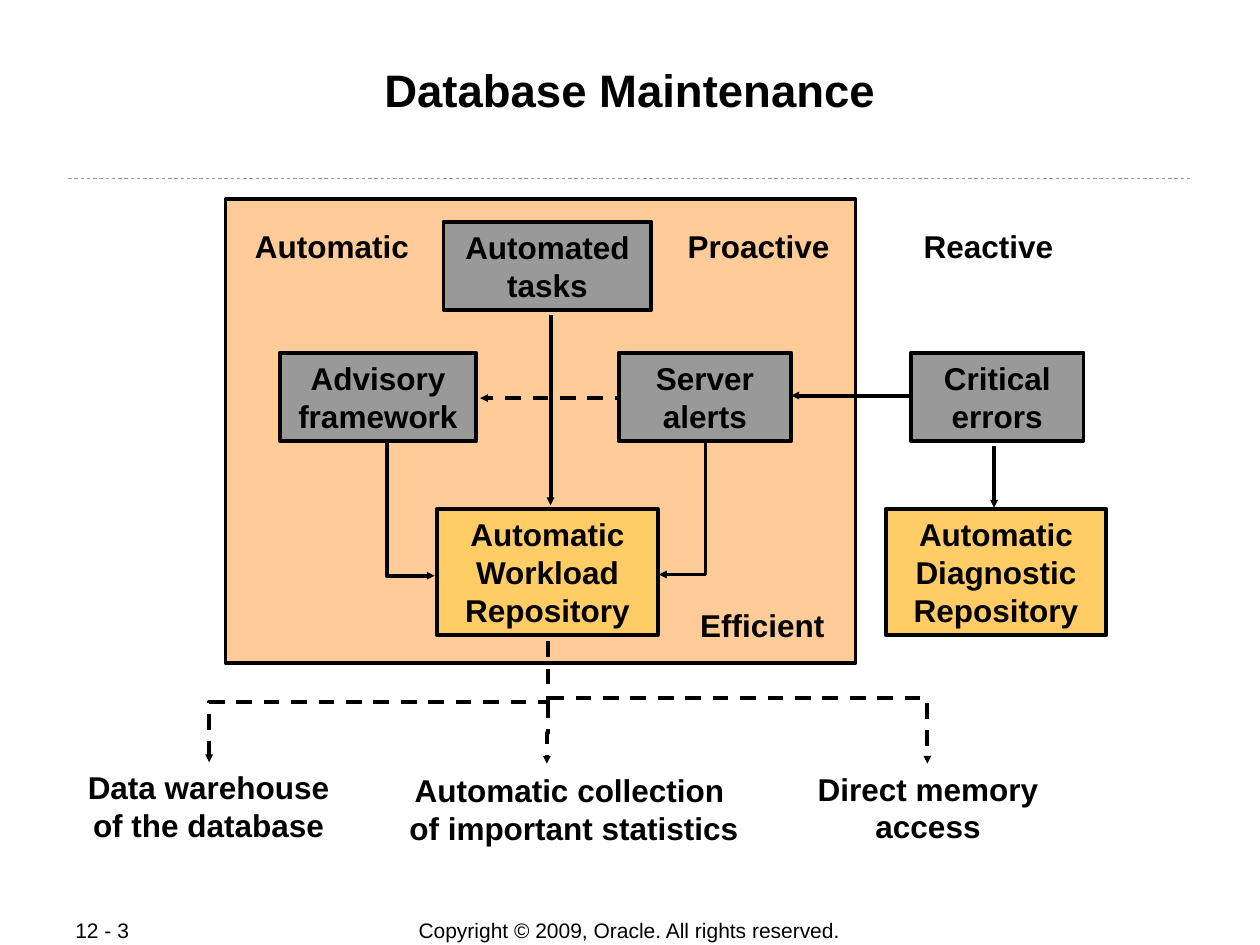
"""Build the Database Maintenance slide: panel, component boxes, labels and arrows."""
from dataclasses import dataclass

from lxml.etree import SubElement
from pptx import Presentation
from pptx.dml.color import RGBColor
from pptx.enum.dml import MSO_LINE
from pptx.enum.shapes import MSO_CONNECTOR as Connector, MSO_SHAPE as Shape
from pptx.enum.text import MSO_ANCHOR as Anchor, MSO_AUTO_SIZE as AutoSize, PP_ALIGN as Align
from pptx.oxml.ns import qn
from pptx.util import Inches, Pt

Point = tuple[float, float]


@dataclass(frozen=True)
class Theme:
    font: str = "Arial"
    ink: str = "000000"
    panel: str = "FFCC99"
    component: str = "999999"
    repository: str = "FFCC66"
    rule: str = "999999"
    title_size: float = 26
    body_size: float = 18
    footer_size: float = 12
    stroke: float = 2.25
    rule_stroke: float = 0.5


THEME = Theme()


@dataclass(frozen=True)
class Box:
    text: str
    left: float
    top: float
    width: float
    height: float
    fill: str


@dataclass(frozen=True)
class Label:
    text: str
    left: float
    top: float
    width: float
    height: float = 0.4
    size: float = THEME.body_size
    bold: bool = True
    align: Align = Align.CENTER
    anchor: Anchor = Anchor.TOP
    wrap: bool = False
    inset: Point = (0.1, 0.05)


@dataclass(frozen=True)
class Arrow:
    start: Point
    end: Point
    dashed: bool = False


COMPONENT_TOP, REPOSITORY_TOP = 2.8, 4.04
BOXES = [
    Box("Automatic\vWorkload Repository", 3.47, REPOSITORY_TOP, 1.75, 1, THEME.repository),
    Box("Automatic\vDiagnostic Repository", 7.03, REPOSITORY_TOP, 1.75, 1, THEME.repository),
    Box("Automated\vtasks", 3.52, 1.76, 1.65, 0.7, THEME.component),
    Box("Advisory\vframework", 2.22, COMPONENT_TOP, 1.56, 0.7, THEME.component),
    Box("Server alerts", 4.91, COMPONENT_TOP, 1.37, 0.7, THEME.component),
    Box("Critical errors", 7.23, COMPONENT_TOP, 1.37, 0.7, THEME.component),
]
LABELS = [
    Label("Database Maintenance", 0.67, 0.48, 8.66, 0.96, THEME.title_size,
          wrap=True, inset=(0.01, 0.01)),
    Label("Automatic", 1.91, 1.75, 1.45),
    Label("Proactive", 5.34, 1.75, 1.36),
    Label("Reactive", 7.21, 1.75, 1.27),
    Label("Efficient", 5.44, 4.76, 1.22),
    Label("Data warehouse\vof the database", 0.58, 6.05, 2.15, 0.7),
    Label("Automatic collection \vof important statistics", 3.13, 6.07, 2.85, 0.7),
    Label("Direct memory\vaccess", 6.37, 6.06, 1.99, 0.7),
    Label("Copyright © 2009, Oracle. All rights reserved.", 2.75, 7.28, 4.49, 0.21,
          THEME.footer_size, False, anchor=Anchor.MIDDLE, wrap=True),
    Label("12 - 3", 0.5, 7.28, 1.06, 0.2, THEME.footer_size, False, Align.LEFT,
          Anchor.MIDDLE, True),
]
ADVICE_ARROW = Arrow((5.44, 3.16), (3.81, 3.16), True)
STRAIGHT_ARROWS = [
    Arrow((4.37, 2.5), (4.37, 4.01)),
    Arrow((7.89, 3.54), (7.89, 4.03)),
    Arrow((7.22, 3.14), (6.28, 3.14)),
]
CORNER_ARROWS = [Arrow((3.07, 3.51), (3.45, 4.57)), Arrow((5.6, 3.5), (5.23, 4.56))]
DROP_ARROWS = [
    Arrow((4.35, 5.09), (1.66, 6.05), True),
    Arrow((4.35, 5.57), (4.34, 6.06), True),
]
BRANCH_ARROW = Arrow((4.35, 5.54), (7.36, 6.06), True)


def style_line(line, color: str = THEME.ink, width: float = THEME.stroke,
               dashed: bool = False, head: bool = False) -> None:
    """Colour a line and give it a dash or an arrowhead."""
    line.color.rgb = RGBColor.from_string(color)
    line.width = Pt(width)
    if dashed:
        line.dash_style = MSO_LINE.DASH
    if head:
        SubElement(line._get_or_add_ln(), qn("a:tailEnd"), type="triangle", w="sm", len="sm")


def set_text(shape, label: Label) -> None:
    """Write a label into a shape and format its runs."""
    frame = shape.text_frame
    frame.text = label.text
    frame.word_wrap = label.wrap
    frame.auto_size = AutoSize.NONE if label.wrap else AutoSize.SHAPE_TO_FIT_TEXT
    frame.vertical_anchor = label.anchor
    frame.margin_left = frame.margin_right = Inches(label.inset[0])
    frame.margin_top = frame.margin_bottom = Inches(label.inset[1])
    para = frame.paragraphs[0]
    para.alignment = label.align
    for span in para.runs:
        span.font.name = THEME.font
        span.font.size = Pt(label.size)
        span.font.bold = label.bold
        span.font.color.rgb = RGBColor.from_string(THEME.ink)


def draw_box(page, box: Box) -> None:
    """Draw an outlined rectangle with its text, if any."""
    area = (box.left, box.top, box.width, box.height)
    shape = page.shapes.add_shape(Shape.RECTANGLE, *map(Inches, area))
    shape.shadow.inherit = False
    shape.fill.solid()
    shape.fill.fore_color.rgb = RGBColor.from_string(box.fill)
    style_line(shape.line)
    if box.text:
        set_text(shape, Label(box.text, *area, wrap=True))


def draw_label(page, label: Label) -> None:
    """Draw a text box."""
    area = (label.left, label.top, label.width, label.height)
    set_text(page.shapes.add_textbox(*map(Inches, area)), label)


def add_plain_connector(page, kind: Connector, start: Point, end: Point):
    """Add a connector without a shadow."""
    connector = page.shapes.add_connector(kind, *map(Inches, (*start, *end)))
    SubElement(connector._element.spPr, qn("a:effectLst"))
    return connector


def draw_straight(page, arrow: Arrow) -> None:
    """Draw a straight arrow."""
    connector = add_plain_connector(page, Connector.STRAIGHT, arrow.start, arrow.end)
    style_line(connector.line, dashed=arrow.dashed, head=True)


def draw_corner(page, arrow: Arrow) -> None:
    """Draw an arrow that runs down and then sideways."""
    corner = (arrow.start[0], arrow.end[1])
    builder = page.shapes.build_freeform(*map(Inches, arrow.start), scale=1.0)
    builder.add_line_segments(
        [tuple(map(Inches, point)) for point in (corner, arrow.end)], close=False)
    shape = builder.convert_to_shape()
    shape.shadow.inherit = False
    shape.fill.background()
    style_line(shape.line, dashed=arrow.dashed, head=True)


def draw_drop(page, arrow: Arrow) -> None:
    """Draw an elbow arrow that leaves and arrives vertically, by a quarter turn."""
    (x1, y1), (x2, y2) = arrow.start, arrow.end
    middle_x, middle_y = (x1 + x2) / 2, (y1 + y2) / 2
    half_width, half_height = (y2 - y1) / 2, (x1 - x2) / 2
    connector = add_plain_connector(
        page, Connector.ELBOW, (middle_x - half_width, middle_y - half_height),
        (middle_x + half_width, middle_y + half_height))
    connector._element.spPr.find(qn("a:xfrm")).set("rot", "5400000")
    style_line(connector.line, dashed=arrow.dashed, head=True)


def draw_branch(page, arrow: Arrow) -> None:
    """Draw an elbow arrow that runs sideways and then down."""
    connector = add_plain_connector(page, Connector.ELBOW, arrow.start, arrow.end)
    connector._element.spPr.find(qn("a:prstGeom")).set("prst", "bentConnector2")
    style_line(connector.line, dashed=arrow.dashed, head=True)


def main() -> None:
    """Build and save the deck."""
    deck = Presentation()
    deck.slide_width, deck.slide_height = Inches(10), Inches(7.5)
    page = deck.slides.add_slide(deck.slide_layouts[6])
    rule = add_plain_connector(page, Connector.STRAIGHT, (0.54, 1.42), (9.46, 1.42))
    style_line(rule.line, THEME.rule, THEME.rule_stroke, dashed=True)
    draw_box(page, Box("", 1.79, 1.58, 5, 3.68, THEME.panel))
    draw_straight(page, ADVICE_ARROW)
    for draw, items in ((draw_box, BOXES), (draw_label, LABELS),
                        (draw_straight, STRAIGHT_ARROWS), (draw_corner, CORNER_ARROWS),
                        (draw_drop, DROP_ARROWS), (draw_branch, [BRANCH_ARROW])):
        for item in items:
            draw(page, item)
    deck.save("out.pptx")


if __name__ == "__main__":
    main()
